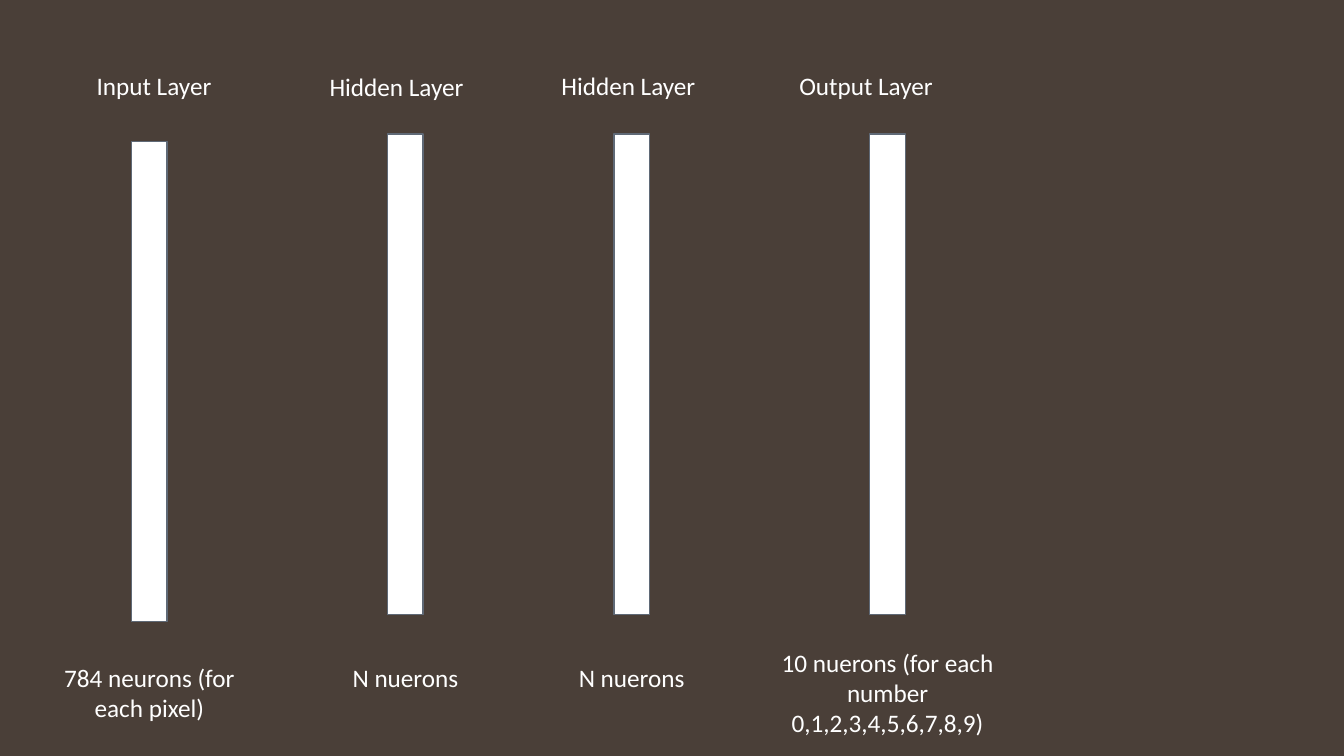
from dataclasses import dataclass

from pptx import Presentation
from pptx.dml.color import RGBColor
from pptx.enum.shapes import MSO_SHAPE
from pptx.enum.text import MSO_AUTO_SIZE, PP_ALIGN
from pptx.util import Inches, Pt

RECTANGLE = MSO_SHAPE.RECTANGLE
GROW = MSO_AUTO_SIZE.SHAPE_TO_FIT_TEXT
LEFT, CENTER = PP_ALIGN.LEFT, PP_ALIGN.CENTER


@dataclass(frozen=True)
class Theme:
    background: RGBColor = RGBColor(0x4A, 0x3F, 0x38)
    foreground: RGBColor = RGBColor(0xFF, 0xFF, 0xFF)
    outline: RGBColor = RGBColor(0x5F, 0x69, 0x76)
    outline_width: float = 0.85
    font: str = "Calibri"
    text_size: int = 18


@dataclass(frozen=True)
class Layer:
    title: str
    title_left: float
    title_top: float
    title_width: float
    center: float
    bar_top: float
    note: str
    note_top: float
    note_width: float
    note_lines: int


# Positions are percentages of the slide's width and height
BAR_WIDTH, BAR_HEIGHT = 2.63, 63.6
LINE_HEIGHT, EXTRA_LINE = 5.33, 4.07
LAYERS = [
    Layer("Input Layer", 6.45, 8.67, 10.43, 11.12, 18.67,
          "784 neurons (for each pixel)", 86.93, 15.3, 2),
    Layer("Hidden Layer", 23.78, 8.8, 12, 30.17, 17.73,
          "N nuerons", 86.93, 15.3, 1),
    Layer("Hidden Layer", 41.03, 8.67, 12, 47, 17.73,
          "N nuerons", 86.93, 15.3, 1),
    Layer("Output Layer", 58.73, 8.67, 12, 66.04, 17.73,
          "10 nuerons (for each number 0,1,2,3,4,5,6,7,8,9)",
          84.93, 18.45, 3),
]


class SlideBuilder:
    def __init__(self, deck, theme):
        self.deck = deck
        self.theme = theme
        self.page = deck.slides.add_slide(deck.slide_layouts[6])
        fill = self.page.background.fill
        fill.solid()
        fill.fore_color.rgb = theme.background

    def place(self, left, top, width, height):
        """Turn percentages of the slide into lengths."""
        across, down = self.deck.slide_width, self.deck.slide_height
        return [round(share * full / 100) for share, full in
                zip((left, top, width, height), (across, down, across, down))]

    def text(self, words, left, top, width, height, align=LEFT, wrap=False):
        box = self.page.shapes.add_textbox(
            *self.place(left, top, width, height))
        frame = box.text_frame
        frame.word_wrap = wrap
        frame.auto_size = GROW
        para = frame.paragraphs[0]
        para.alignment = align
        span = para.add_run()
        span.text = words
        span.font.name = self.theme.font
        span.font.size = Pt(self.theme.text_size)
        span.font.color.rgb = self.theme.foreground

    def bar(self, left, top, width, height):
        bar = self.page.shapes.add_shape(
            RECTANGLE, *self.place(left, top, width, height))
        bar.shadow.inherit = False
        bar.fill.solid()
        bar.fill.fore_color.rgb = self.theme.foreground
        bar.line.color.rgb = self.theme.outline
        bar.line.width = Pt(self.theme.outline_width)

    def layer(self, layer):
        # Heading
        self.text(layer.title, layer.title_left, layer.title_top,
                  layer.title_width, LINE_HEIGHT)
        # Column of neurons
        self.bar(layer.center - BAR_WIDTH / 2, layer.bar_top,
                 BAR_WIDTH, BAR_HEIGHT)
        # Neuron count, centred under the column
        self.text(layer.note, layer.center - layer.note_width / 2,
                  layer.note_top, layer.note_width,
                  LINE_HEIGHT + EXTRA_LINE * (layer.note_lines - 1),
                  align=CENTER, wrap=True)


def main():
    deck = Presentation()
    deck.slide_width, deck.slide_height = Inches(13.33), Inches(7.5)
    builder = SlideBuilder(deck, Theme())
    for layer in LAYERS:
        builder.layer(layer)
    deck.save("out.pptx")


if __name__ == "__main__":
    main()
